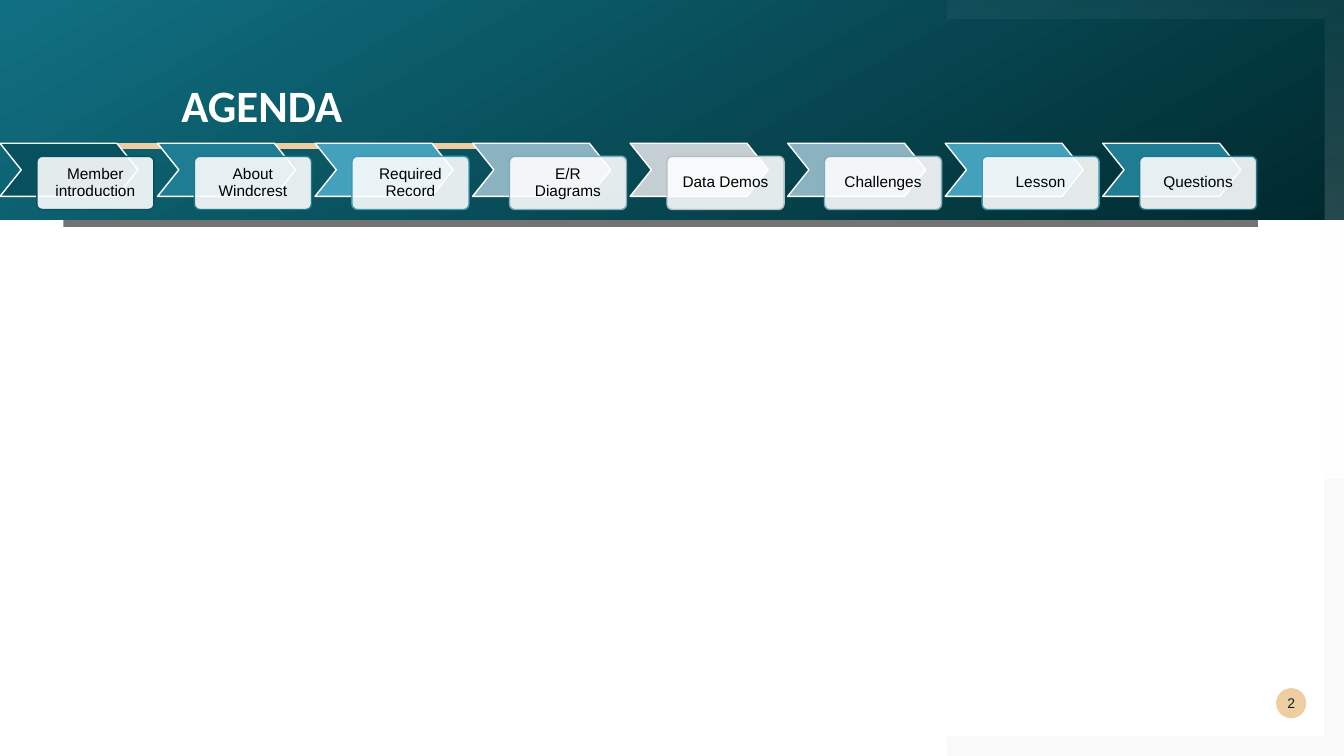
"""Builds the agenda slide: a dark gradient header with a row of eight chevron steps."""
from lxml.etree import SubElement
from pptx import Presentation
from pptx.dml.color import RGBColor
from pptx.enum.shapes import MSO_CONNECTOR as Connector, MSO_SHAPE as Shape
from pptx.enum.text import MSO_ANCHOR as Anchor, PP_ALIGN as Align
from pptx.oxml.ns import qn
from pptx.util import Cm, Pt

TITLE = "AGENDA"
PAGE_NUMBER = "2"
STEPS = [
    ("Member introduction", "08505E", "08505E"),
    ("About Windcrest", "1F7D93", "1E788D"),
    ("Required Record", "43A1BC", "3F98B1"),
    ("E/R Diagrams", "8AB2C0", "7DABB9"),
    ("Data Demos", "C5CED2", "B5C0C5"),
    ("Challenges", "8AB2C0", "7DABB9"),
    ("Lesson", "43A1BC", "3F98B1"),
    ("Questions", "1F7D93", "1E788D"),
]
WHITE, BLACK, INK, SAND = "FFFFFF", "000000", "00292E", "F0CDA1"
SLIDE_W, SLIDE_H = 33.87, 19.05
FRAME_LEFT, FRAME_SPLIT, FRAME_THICK = 23.88, 12.07, 0.49
STEP_PITCH, STEP_TOP, STEP_H = 3.97, 3.61, 1.34
CHEVRON_W, CARD_W, CARD_DX, CARD_DY = 3.48, 2.95, 0.93, 0.33


def rgb(color):
    return RGBColor.from_string(color)


def set_alphas(shape, *percents):
    colors = shape._element.spPr.iter(qn("a:srgbClr"))
    for color, percent in zip(colors, percents):
        SubElement(color, qn("a:alpha")).set("val", str(percent * 1000))


def paint(shape, fill, alpha=100, line=None):
    shape.shadow.inherit = False
    shape.fill.solid()
    shape.fill.fore_color.rgb = rgb(fill)
    if alpha < 100:
        set_alphas(shape, alpha)
    if line:
        shape.line.color.rgb = rgb(line)
        shape.line.width = Pt(1)
    else:
        shape.line.fill.background()


def paint_gradient(shape, colors, angle):
    shape.shadow.inherit = False
    shape.line.fill.background()
    shape.fill.gradient()
    shape.fill.gradient_angle = angle
    for stop, color in zip(shape.fill.gradient_stops, colors):
        stop.color.rgb = rgb(color)


def add_preset(shapes, kind, left, top, width, height):
    return shapes.add_shape(kind, Cm(left), Cm(top), Cm(width), Cm(height))


def add_outline(shapes, points):
    start, *rest = [(Cm(x), Cm(y)) for x, y in points]
    builder = shapes.build_freeform(*start)
    builder.add_line_segments(rest, close=True)
    return builder.convert_to_shape()


def write(shape, text, size, color, font="Arial", bold=False, align=Align.CENTER,
          anchor=Anchor.MIDDLE, inset=0, spacing=None):
    frame = shape.text_frame
    frame.word_wrap = True
    frame.vertical_anchor = anchor
    frame.margin_left = frame.margin_right = Cm(inset)
    frame.margin_top = frame.margin_bottom = Cm(inset)
    paragraph = frame.paragraphs[0]
    paragraph.alignment = align
    paragraph.line_spacing = spacing
    run = paragraph.add_run()
    run.text = text
    run.font.name, run.font.size, run.font.bold = font, Pt(size), bold
    run.font.color.rgb = rgb(color)


def add_backdrop(shapes):
    paint(add_preset(shapes, Shape.RECTANGLE, 1.6, 5.44, 30.1, 0.28), BLACK, 55)
    header = add_preset(shapes, Shape.RECTANGLE, 0, 0, SLIDE_W, 5.54)
    paint_gradient(header, (INK, "107082"), 120)

    inner_x, inner_y = SLIDE_W - FRAME_THICK, SLIDE_H - FRAME_THICK
    upper_frame = add_outline(shapes, [
        (FRAME_LEFT, 0), (SLIDE_W, 0), (SLIDE_W, FRAME_SPLIT), (inner_x, FRAME_SPLIT),
        (inner_x, FRAME_THICK), (FRAME_LEFT, FRAME_THICK)])
    paint_gradient(upper_frame, (WHITE, WHITE), 270)
    set_alphas(upper_frame, 4, 29)
    lower_frame = add_outline(shapes, [
        (inner_x, FRAME_SPLIT), (SLIDE_W, FRAME_SPLIT), (SLIDE_W, SLIDE_H),
        (FRAME_LEFT, SLIDE_H), (FRAME_LEFT, inner_y), (inner_x, inner_y)])
    paint(lower_frame, "7F7F7F", 4)


def add_heading(shapes):
    title = shapes.add_textbox(Cm(4.57), Cm(2.11), Cm(5.61), Cm(1.02))
    write(title, TITLE, 32, WHITE, "Calibri", True, Align.LEFT, Anchor.TOP, spacing=0.9)
    page_badge = add_preset(shapes, Shape.OVAL, 32.16, 17.34, 0.76, 0.76)
    paint(page_badge, SAND)
    write(page_badge, PAGE_NUMBER, 10, INK)
    underline = shapes.add_connector(Connector.STRAIGHT, Cm(2), Cm(3.68), Cm(13.41), Cm(3.68))
    underline.line.color.rgb = rgb(SAND)
    underline.line.width = Pt(4.32)
    SubElement(underline._element.spPr, qn("a:effectLst"))


def add_steps(shapes):
    for index, (label, fill, border) in enumerate(STEPS):
        left = index * STEP_PITCH
        chevron = add_preset(shapes, Shape.CHEVRON, left, STEP_TOP, CHEVRON_W, STEP_H)
        chevron.adjustments[0] = 0.4
        paint(chevron, fill, line=WHITE)
        card = add_preset(shapes, Shape.ROUNDED_RECTANGLE, left + CARD_DX,
                          STEP_TOP + CARD_DY, CARD_W, STEP_H)
        card.adjustments[0] = 0.1
        paint(card, WHITE, 89, border)
        write(card, label, 11, BLACK, inset=0.27, spacing=0.9)


def main():
    deck = Presentation()
    deck.slide_width, deck.slide_height = Cm(SLIDE_W), Cm(SLIDE_H)
    slide = deck.slides.add_slide(deck.slide_layouts[6])
    add_backdrop(slide.shapes)
    add_heading(slide.shapes)
    add_steps(slide.shapes.add_group_shape().shapes)
    deck.save("out.pptx")


if __name__ == "__main__":
    main()
